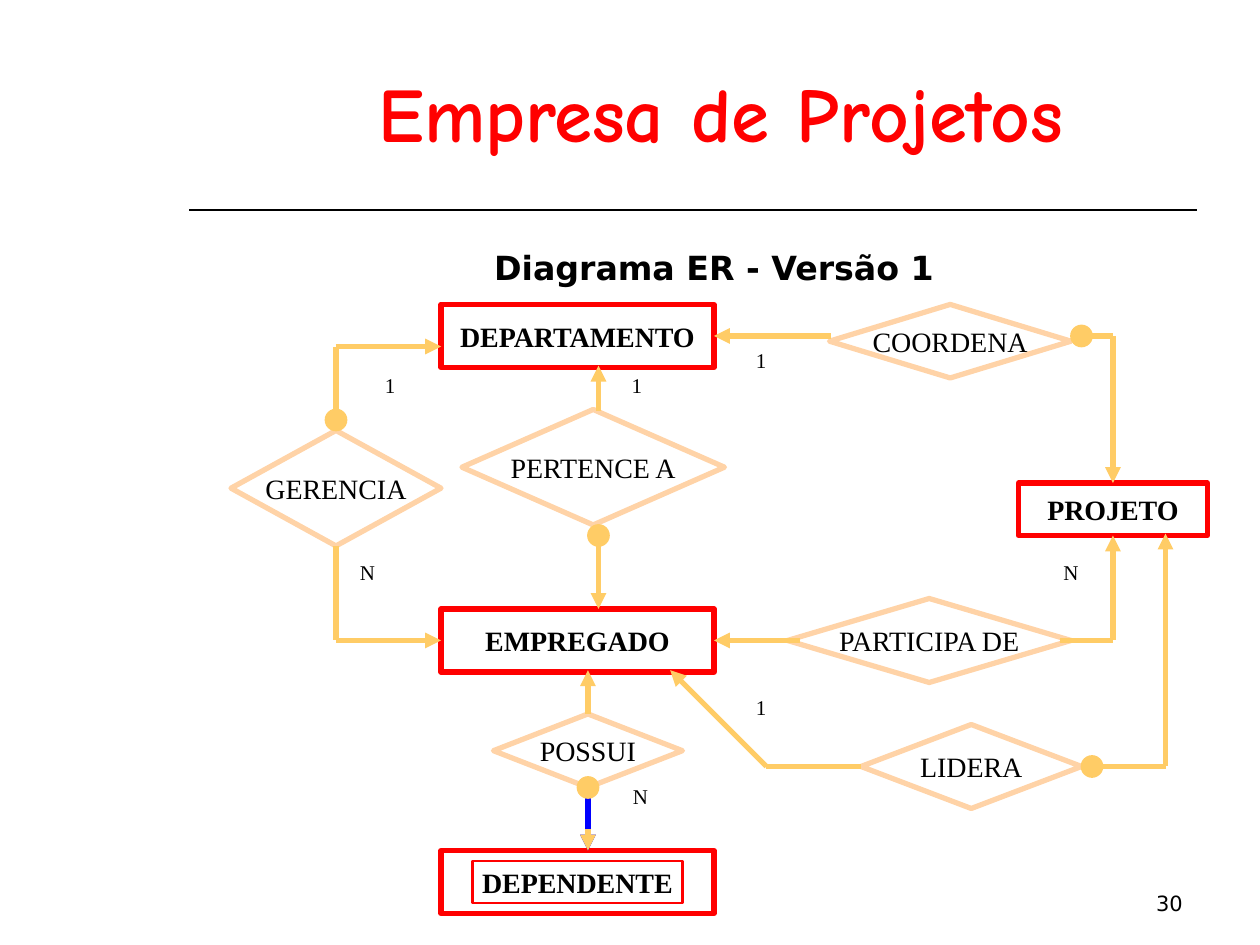
from dataclasses import dataclass

from lxml import etree
from pptx import Presentation
from pptx.dml.color import RGBColor
from pptx.enum.shapes import MSO_CONNECTOR, MSO_SHAPE
from pptx.enum.text import MSO_ANCHOR, PP_ALIGN
from pptx.oxml.ns import qn
from pptx.util import Pt

RECT, DIAMOND, OVAL = MSO_SHAPE.RECTANGLE, MSO_SHAPE.DIAMOND, MSO_SHAPE.OVAL
STRAIGHT = MSO_CONNECTOR.STRAIGHT
CENTER, RIGHT = PP_ALIGN.CENTER, PP_ALIGN.RIGHT
MIDDLE, BOTTOM = MSO_ANCHOR.MIDDLE, MSO_ANCHOR.BOTTOM
TOP_SIDE, LEFT_SIDE, BOTTOM_SIDE, RIGHT_SIDE = range(4)


@dataclass(frozen=True)
class Theme:
    text: str = "000000"
    accent: str = "FF0000"
    relation: str = "FFD3A7"
    link: str = "FFCC66"
    weak_link: str = "0000FF"
    serif: str = "Times New Roman"
    sans: str = "DejaVu Sans"
    hand: str = "Comic Neue"
    title_size: float = 44
    subtitle_size: float = 19
    name_size: float = 16
    small_size: float = 12
    thick: float = 3


class Diagram:
    """Draws the parts of an ER diagram on one slide, in points."""

    def __init__(self, slide, theme):
        self.shapes = slide.shapes
        self.theme = theme

    def set_text(self, sp, text, size, font, bold=False, color=None,
                 align=CENTER, anchor=MIDDLE, wrap=False):
        tf = sp.text_frame
        tf.word_wrap = wrap
        tf.vertical_anchor = anchor
        tf.margin_left = tf.margin_right = Pt(7.2 if wrap else 0)
        tf.margin_top = tf.margin_bottom = Pt(3.6 if wrap else 0)
        p = tf.paragraphs[0]
        p.alignment = align
        r = p.add_run()
        r.text = text
        r.font.size = Pt(size)
        r.font.name = font
        r.font.bold = bold
        r.font.color.rgb = RGBColor.from_string(color or self.theme.text)

    def text(self, box, text, size, font, **style):
        sp = self.shapes.add_textbox(*map(Pt, box))
        self.set_text(sp, text, size, font, **style)

    def outline(self, kind, box, color, width):
        sp = self.shapes.add_shape(kind, *map(Pt, box))
        sp.shadow.inherit = False
        sp.fill.background()
        sp.line.color.rgb = RGBColor.from_string(color)
        sp.line.width = Pt(width)
        return sp

    def entity(self, box, name=None, width=None):
        t = self.theme
        sp = self.outline(RECT, box, t.accent, width or t.thick)
        if name:
            self.set_text(sp, name, t.name_size, t.serif, bold=True)
        return sp

    def relation(self, box, name):
        t = self.theme
        sp = self.outline(DIAMOND, box, t.relation, t.thick)
        self.set_text(sp, name, t.name_size, t.serif)
        return sp

    def dot(self, cx, cy):
        color = self.theme.link
        sp = self.outline(OVAL, (cx - 6, cy - 6, 12, 12), color, 1)
        sp.fill.solid()
        sp.fill.fore_color.rgb = RGBColor.from_string(color)

    def line(self, start, end, color, width, arrow=False):
        cn = self.shapes.add_connector(STRAIGHT, *map(Pt, (*start, *end)))
        cn.line.color.rgb = RGBColor.from_string(color)
        cn.line.width = Pt(width)
        sp_pr = cn._element.spPr
        if arrow:
            etree.SubElement(sp_pr.find(qn("a:ln")), qn("a:tailEnd"),
                             type="triangle")
        etree.SubElement(sp_pr, qn("a:effectLst"))
        return cn

    def link(self, *points, start=None, end=None, color=None):
        """Arrow through the points; start and end are (shape, side) joins."""
        t = self.theme
        last = len(points) - 2
        for i, (a, b) in enumerate(zip(points, points[1:])):
            cn = self.line(a, b, color or t.link, t.thick, arrow=i == last)
            if start and i == 0:
                cn.begin_connect(*start)
            if end and i == last:
                cn.end_connect(*end)

    def cardinality(self, text, cx, cy):
        t = self.theme
        self.text((cx - 11, cy - 8, 22, 16), text, t.small_size, t.serif)


def main():
    prs = Presentation()
    prs.slide_width, prs.slide_height = Pt(720), Pt(540)
    theme = Theme()
    d = Diagram(prs.slides.add_slide(prs.slide_layouts[6]), theme)

    d.line((108, 120), (684, 120), theme.text, 1)
    d.text((118, 36, 588, 56), "Empresa de Projetos", theme.title_size,
           theme.hand, bold=True, color=theme.accent, wrap=True)
    d.text((108, 138, 600, 30), "Diagrama ER - Versão 1",
           theme.subtitle_size, theme.sans, bold=True, wrap=True)

    department = d.entity((252, 174, 156, 36), "DEPARTAMENTO")
    project = d.entity((582, 276, 108, 30), "PROJETO")
    employee = d.entity((252, 348, 156, 36), "EMPREGADO")
    d.entity((252, 486, 156, 36))
    d.entity((270, 492, 120, 24), "DEPENDENTE", width=1.5)

    manages = d.relation((132, 246, 120, 66), "GERENCIA")
    d.relation((264, 234, 150, 66), "PERTENCE A")
    d.relation((474, 174, 138, 42), "COORDENA")
    d.relation((450, 342, 162, 48), "PARTICIPA DE")
    leads = d.relation((492, 414, 126, 48), "LIDERA")
    owns = d.relation((282, 408, 108, 42), "POSSUI")

    d.link((192, 246), (192, 198), (252, 198), start=(manages, TOP_SIDE))
    d.link((192, 312), (192, 366), (252, 366),
           start=(manages, BOTTOM_SIDE), end=(employee, LEFT_SIDE))
    d.link((342, 235), (342, 209))
    d.link((342, 300), (342, 348))
    d.link((475, 192), (408, 192), end=(department, RIGHT_SIDE))
    d.link((612, 192), (636, 192), (636, 276), end=(project, TOP_SIDE))
    d.link((457, 366), (408, 366), end=(employee, RIGHT_SIDE))
    d.link((606, 366), (636, 366), (636, 306), end=(project, BOTTOM_SIDE))
    d.link((618, 438), (666, 438), (666, 305), start=(leads, RIGHT_SIDE))
    d.link((492, 438), (438, 438), (383, 383), start=(leads, LEFT_SIDE))
    d.link((336, 408), (336, 383), start=(owns, TOP_SIDE))
    d.link((336, 450), (336, 486), start=(owns, BOTTOM_SIDE),
           color=theme.weak_link)
    d.link((336, 474), (336, 486))

    for center in ((192, 240), (342, 306), (618, 192), (624, 438), (336, 450)):
        d.dot(*center)

    for text, cx, cy in (("1", 223, 220), ("1", 364, 220), ("1", 435, 206),
                         ("1", 435, 404), ("N", 210, 327), ("N", 612, 327),
                         ("N", 366, 455)):
        d.cardinality(text, cx, cy)

    d.text((516, 492, 167, 35), "30", theme.small_size, theme.sans,
           align=RIGHT, anchor=BOTTOM, wrap=True)
    prs.save("out.pptx")


if __name__ == "__main__":
    main()
